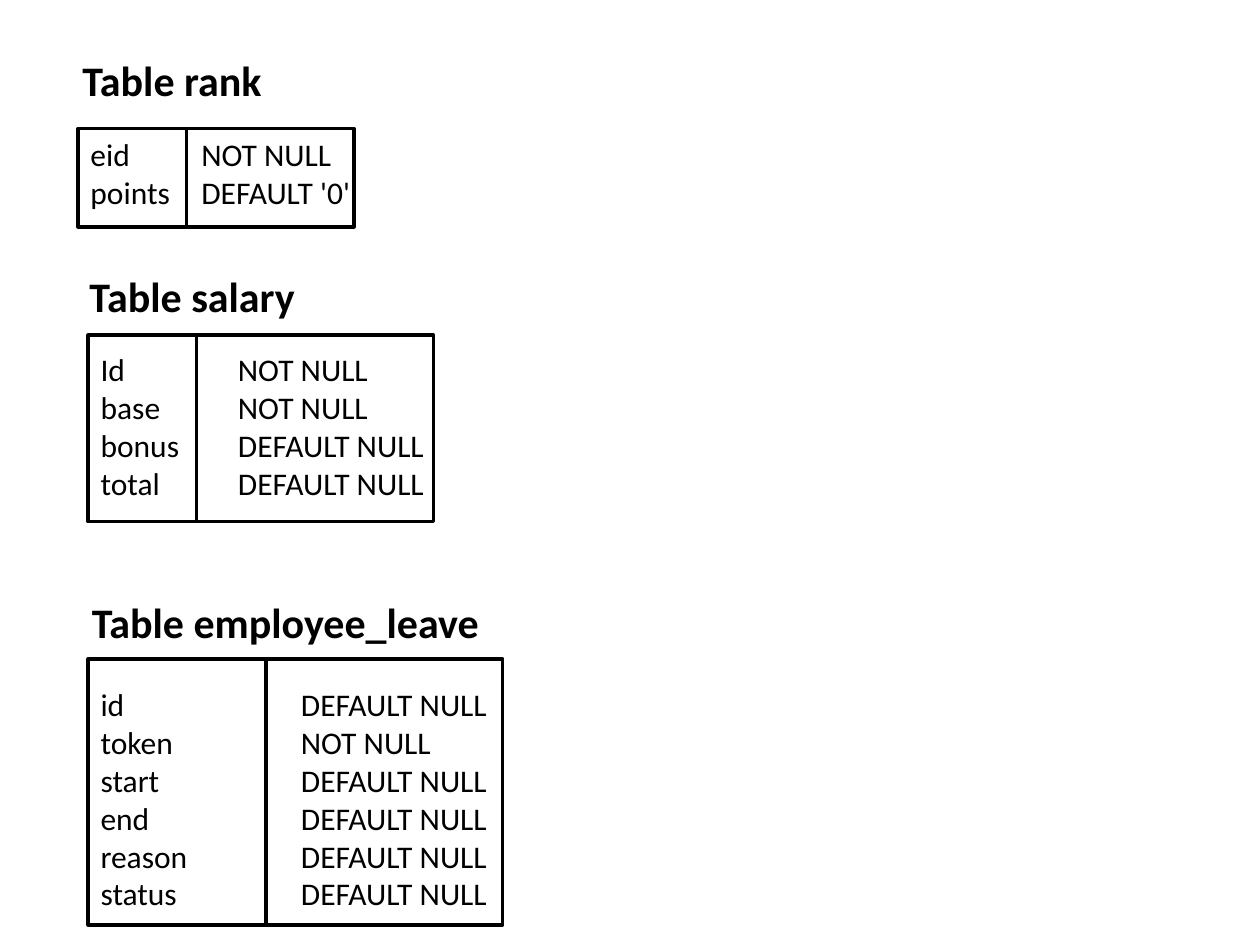
from pptx import Presentation
from pptx.dml.color import RGBColor
from pptx.enum.shapes import MSO_SHAPE
from pptx.enum.text import MSO_ANCHOR, PP_ALIGN
from pptx.oxml.ns import qn
from pptx.util import Inches, Pt
from lxml.etree import SubElement

BLACK = RGBColor(0, 0, 0)
WHITE = RGBColor(255, 255, 255)
FONT = "Calibri"
INSET = 0.1

TABLES = [
    {
        "heading": ("Table rank", 0.39, 0.39, 1.95),
        "left": 0.62, "top": 1.02, "height": 0.78,
        "name_width": 0.86, "rule_width": 1.33,
        "text_top": 1.02, "text_width": 2.27, "text_height": 1.01,
        "rule_left": 1.6,
        "rows": [("eid", "NOT NULL"), ("points", "DEFAULT '0'")],
    },
    {
        "heading": ("Table salary", 0.55, 2.11, 1.95),
        "left": 0.7, "top": 2.66, "height": 1.48,
        "name_width": 0.86, "rule_width": 1.88,
        "text_top": 2.73, "text_width": 2.81, "text_height": 1.62,
        "rule_left": 1.89,
        "rows": [
            ("Id", "NOT NULL"),
            ("base", "NOT NULL"),
            ("bonus", "DEFAULT NULL"),
            ("total", "DEFAULT NULL"),
        ],
    },
    {
        "heading": ("Table employee_leave", 0.47, 4.69, 3.59),
        "left": 0.7, "top": 5.23, "height": 2.11,
        "name_width": 1.41, "rule_width": 1.88,
        "text_top": 5.39, "text_width": 3.44, "text_height": 1.92,
        "rule_left": 2.39,
        "rows": [
            ("id", "DEFAULT NULL"),
            ("token", "NOT NULL"),
            ("start", "DEFAULT NULL"),
            ("end", "DEFAULT NULL"),
            ("reason", "DEFAULT NULL"),
            ("status", "DEFAULT NULL"),
        ],
    },
]


def add_frame(slide, left, top, width, height):
    frame = slide.shapes.add_shape(
        MSO_SHAPE.RECTANGLE, Inches(left), Inches(top), Inches(width), Inches(height)
    )
    frame.shadow.inherit = False
    frame.fill.solid()
    frame.fill.fore_color.rgb = WHITE
    frame.line.color.rgb = BLACK
    frame.line.width = Pt(2)


def add_text_area(slide, left, top, width, height):
    area = slide.shapes.add_textbox(
        Inches(left), Inches(top), Inches(width), Inches(height)
    ).text_frame
    area.word_wrap = True
    return area


def add_run(paragraph, text, size, bold=False):
    run = paragraph.add_run()
    run.text = text
    run.font.name = FONT
    run.font.size = Pt(size)
    run.font.bold = bold
    run.font.color.rgb = BLACK


def add_heading(slide, text, left, top, width):
    area = add_text_area(slide, left, top, width, 0.48)
    area.vertical_anchor = MSO_ANCHOR.MIDDLE
    paragraph = area.paragraphs[0]
    paragraph.alignment = PP_ALIGN.CENTER
    add_run(paragraph, text, 24, bold=True)


def set_tab_stop(paragraph, position):
    properties = paragraph._p.get_or_add_pPr()
    stops = SubElement(properties, qn("a:tabLst"))
    SubElement(stops, qn("a:tab"), pos=str(Inches(position)), algn="l")


def add_columns(slide, table):
    area = add_text_area(
        slide, table["left"], table["text_top"], table["text_width"], table["text_height"]
    )
    for index, (column, rule) in enumerate(table["rows"]):
        paragraph = area.add_paragraph() if index else area.paragraphs[0]
        set_tab_stop(paragraph, table["rule_left"] - table["left"] - INSET)
        add_run(paragraph, f"{column}\t{rule}", 18)


def add_schema(slide, table):
    left, top, height = table["left"], table["top"], table["height"]
    add_frame(slide, left + table["name_width"], top, table["rule_width"], height)
    add_frame(slide, left, top, table["name_width"], height)
    add_heading(slide, *table["heading"])
    add_columns(slide, table)


def main():
    presentation = Presentation()
    presentation.slide_width = Inches(10)
    presentation.slide_height = Inches(7.5)
    slide = presentation.slides.add_slide(presentation.slide_layouts[6])
    for table in TABLES:
        add_schema(slide, table)
    presentation.save("out.pptx")


if __name__ == "__main__":
    main()
